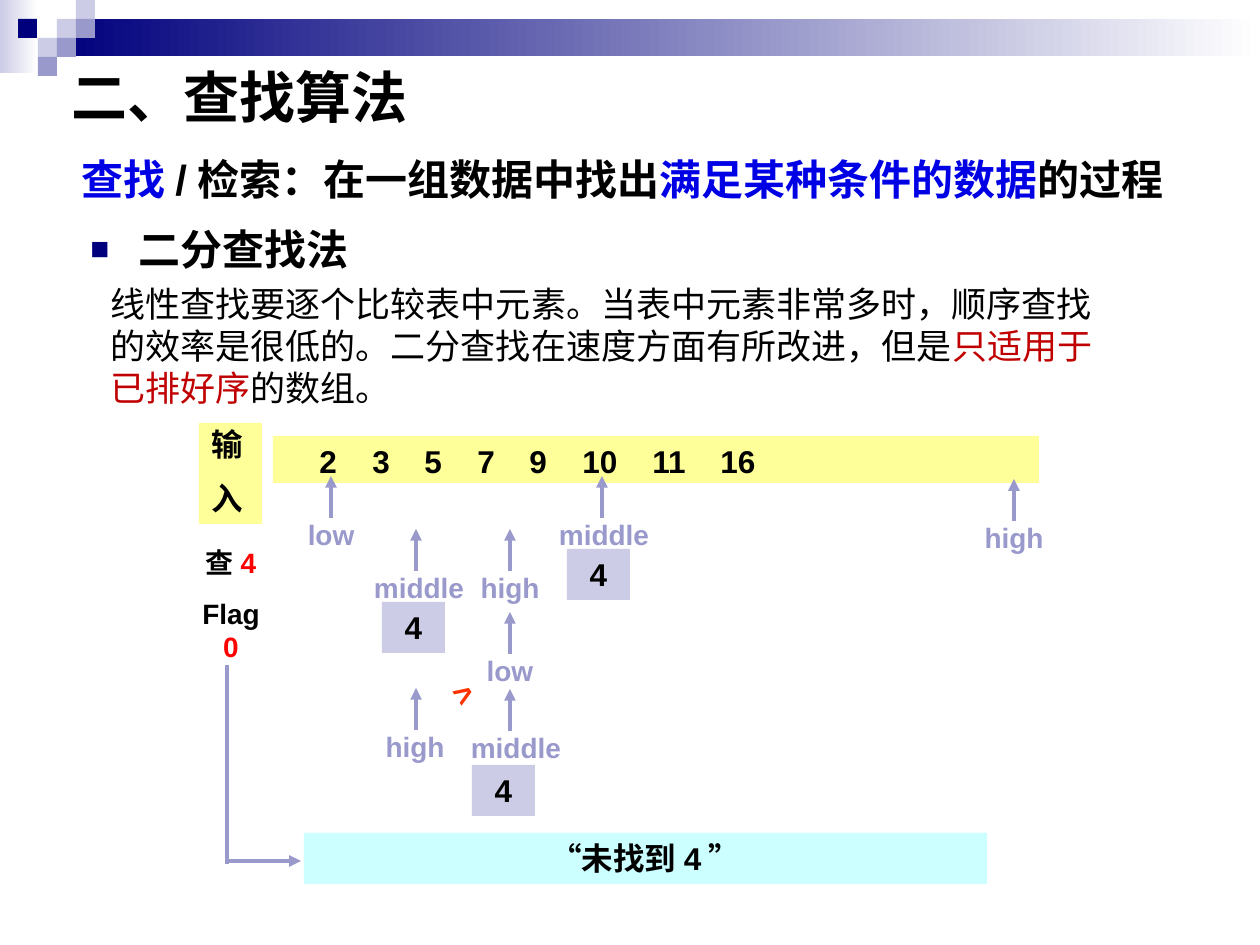
import pptx
import pptx.util
import pptx.dml.color
import pptx.enum.shapes
import pptx.enum.text
import pptx.oxml
import pptx.oxml.ns
from lxml import etree

HUES = {"navy": "00007D", "pale": "CCCCE6", "mid": "9999CC", "white": "FFFFFF",
        "black": "000000", "blue": "0000E5", "brick": "C00000", "red": "FF0000",
        "flame": "FF3300", "yellow": "FFFF99", "cyan": "CCFFFF"}
CJK = "Noto Sans CJK SC"

BARS = [(0, 0, 38, 73, "pale"), (57, 19, 1203, 37, "navy")]
TILES = [(57, 19, "pale"), (76, 0, "pale"), (76, 19, "mid"), (38, 38, "pale"),
         (18, 19, "navy"), (57, 38, "mid"), (38, 57, "mid")]
TITLE = [("二、查找算法", "black")]
TOPIC = [("查找", "blue"), ("/检索：在一组数据中找出", "black"),
         ("满足某种条件的数据", "blue"), ("的过程", "black")]
HEAD = [("二分查找法", "black")]
BODY = [("线性查找要逐个比较表中元素。当表中元素非常多时，顺序查找的效率是很低的。"
         "二分查找在速度方面有所改进，但是", "black"),
        ("只适用于已排好序", "brick"), ("的数组。", "black")]
INPUT = [[("输", "black")], [("入", "black")]]
ITEMS = [("2", 34), ("3", 87), ("5", 139), ("7", 192),
         ("9", 244), ("10", 297), ("11", 367), ("16", 435)]
QUERY = [[("查", "black"), ("4", "red")], [("Flag", "black"), ("0", "red")]]
FOUND = [("“未找到4”", "black")]
MARKS = [("low", 331, 331, 476), ("high", 1014, 1014, 479),
         ("middle", 602, 604, 476), ("high", 510, 510, 529),
         ("middle", 416, 419, 529), ("low", 510, 510, 612),
         ("middle", 510, 516, 689), ("high", 416, 415, 688)]
KEYS = [(567, 549), (382, 602), (472, 765)]

SHAPE = pptx.enum.shapes.MSO_SHAPE.RECTANGLE
ALIGN = pptx.enum.text.PP_ALIGN
MIDDLE = pptx.enum.text.MSO_ANCHOR.MIDDLE


def px(num):
    return pptx.util.Emu(round(num * 914400 / 126))


def hue(name):
    return pptx.dml.color.RGBColor.from_string(HUES[name])


def node(tag, **attrs):
    item = pptx.oxml.parse_xml(f"<a:{tag} {pptx.oxml.ns.nsdecls('a')}/>")
    for key, val in attrs.items():
        item.set(key, str(val))
    return item


def rect(x, y, w, h, fill):
    box = slide.shapes.add_shape(SHAPE, px(x), px(y), px(w), px(h))
    box.shadow.inherit = False
    box.line.fill.background()
    box.fill.solid()
    box.fill.fore_color.rgb = hue(fill)
    return box


def label(x, y, w, h):
    return slide.shapes.add_textbox(px(x), px(y), px(w), px(h))


def write(box, paras, size, align=ALIGN.LEFT, bold=True, font="Arial",
          lead=None, gap=0):
    frame = box.text_frame
    frame.word_wrap = True
    frame.vertical_anchor = pptx.enum.text.MSO_ANCHOR.TOP
    for i, runs in enumerate(paras):
        para = frame.add_paragraph() if i else frame.paragraphs[0]
        para.alignment = align
        if i:
            para.space_before = pptx.util.Pt(gap)
        if lead and any(ord(c) > 0x2E7F for text, _ in runs for c in text):
            para.line_spacing = pptx.util.Pt(round(size * lead, 2))
        for text, color in runs:
            run = para.add_run()
            run.text = text
            run.font.size = pptx.util.Pt(size)
            run.font.bold = bold
            run.font.name = font
            run.font.color.rgb = hue(color)
            run.font._element.append(node("ea", typeface=CJK))
    return frame


def line(x1, y1, x2, y2, arrow=True):
    kind = pptx.enum.shapes.MSO_CONNECTOR.STRAIGHT
    wire = slide.shapes.add_connector(kind, px(x1), px(y1), px(x2), px(y2))
    wire.line.color.rgb = hue("mid")
    wire.line.width = pptx.util.Pt(2.25)
    if arrow:
        wire.line._get_or_add_ln().append(node("tailEnd", type="triangle"))
    wire._element.spPr.append(node("effectLst"))


deck = pptx.Presentation()
deck.slide_width, deck.slide_height = px(1260), px(945)
slide = deck.slides.add_slide(deck.slide_layouts[6])

for x, y, w, h, color in BARS:
    bar = rect(x, y, w, h, color)
    bar.fill.gradient()
    bar.fill.gradient_angle = 0
    for stop, tone, pos in zip(bar.fill.gradient_stops, (color, "white"), (0, 1)):
        stop.color.rgb = hue(tone)
        stop.position = pos
for x, y, color in TILES:
    rect(x, y, 19, 19, color)

frame = write(label(59, 69, 1134, 55), [TITLE], 32, lead=1.2)
frame.vertical_anchor = MIDDLE

frame = write(label(78, 217, 1162, 168), [HEAD], 24, lead=1.2)
props = frame.paragraphs[0]._p.get_or_add_pPr()
props.set("marL", str(px(48)))
props.set("indent", str(px(-48)))
tint = node("buClr")
tint.append(node("srgbClr", val=HUES["navy"]))
props.extend([tint, node("buSzPct", val=75000), node("buFont", typeface="Arial"),
              node("buChar", char="■")])

write(label(69, 147, 1250, 63), [TOPIC], 24, lead=1.2)
write(label(98, 276, 1033, 139), [BODY], 20, bold=False, font=CJK, lead=1.2)

write(rect(199, 423, 63, 101, "yellow"), INPUT, 18, lead=1.08, gap=11.2)
row = [("".join("\t" + text for text, _ in ITEMS), "black")]
frame = write(rect(273, 436, 766, 47, "yellow"), [row], 18)
tabs = node("tabLst")
for _, pos in ITEMS:
    tabs.append(node("tab", pos=px(pos), algn="l"))
frame.paragraphs[0]._p.get_or_add_pPr().append(tabs)

for text, x, mid, tip in MARKS:
    wide = 126 if text == "middle" else 94
    write(label(mid - wide / 2, tip + 35, wide, 47), [[(text, "mid")]], 16, ALIGN.CENTER)
    line(x, tip + 42, x, tip)
for x, y in KEYS:
    write(rect(x, y, 63, 51, "pale"), [[("4", "black")]], 18, ALIGN.CENTER)

sign = label(440, 665, 53, 50)
sign.rotation = 326.9
write(sign, [[(">", "flame")]], 18)

write(label(189, 539, 84, 131), QUERY, 16, ALIGN.CENTER, lead=1.2, gap=10)
line(227, 665, 227, 864, arrow=False)
write(rect(304, 833, 683, 51, "cyan"), [FOUND], 18, ALIGN.CENTER, lead=1.2)
line(227, 861, 301, 861)

deck.save("out.pptx")
